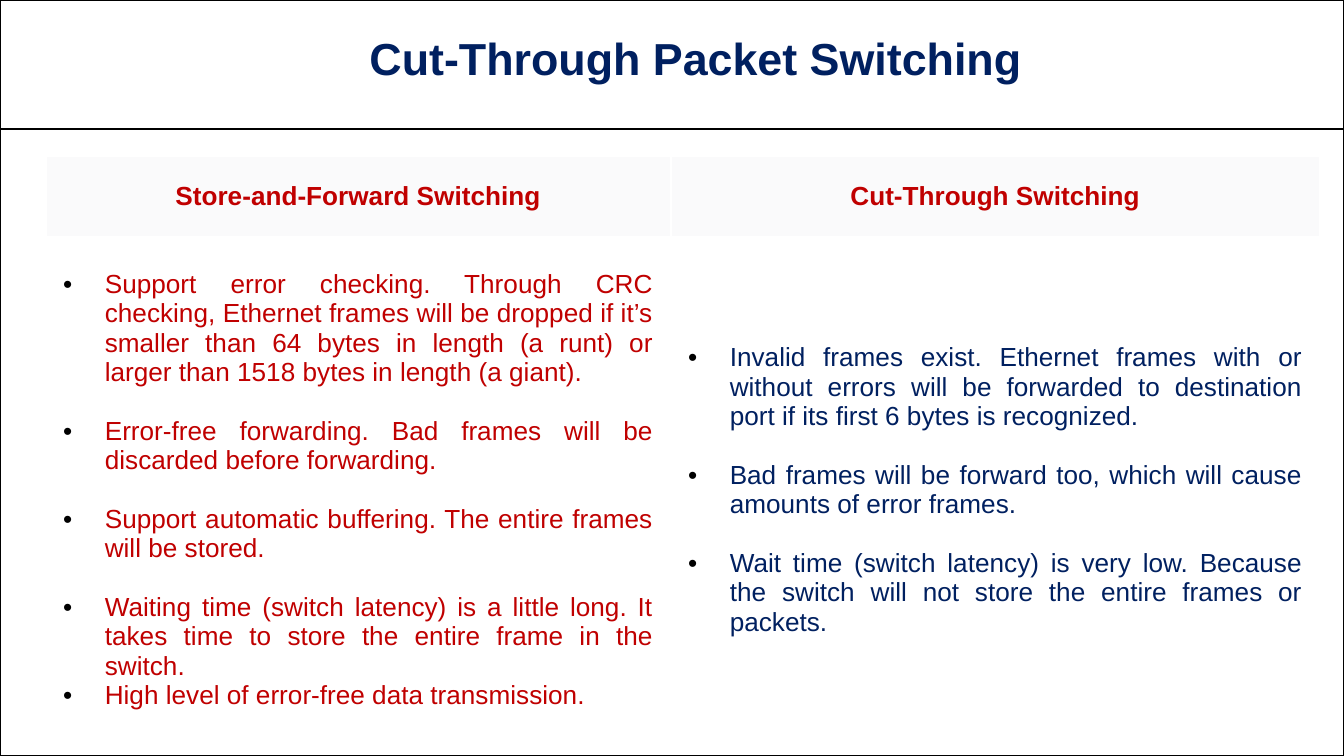
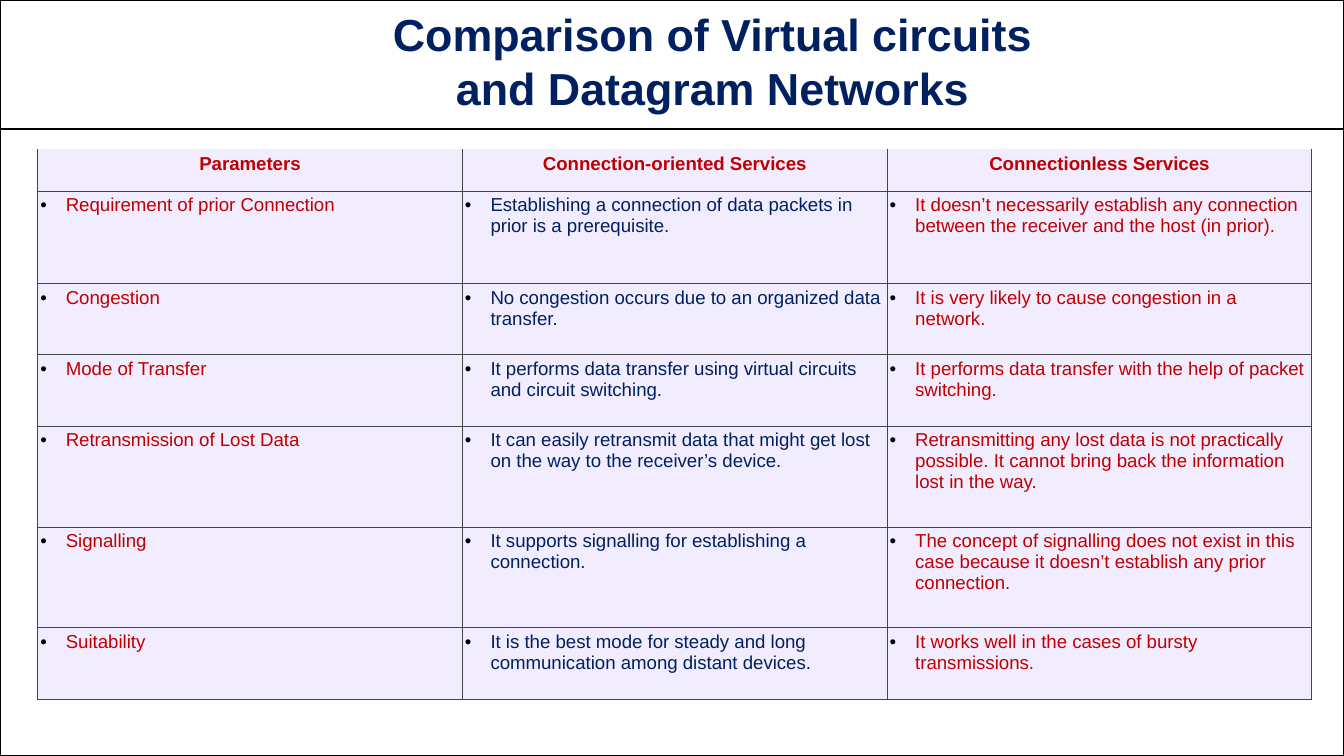
from lxml import etree
from pptx import Presentation
from pptx.dml.color import RGBColor
from pptx.enum.shapes import MSO_CONNECTOR, MSO_SHAPE
from pptx.enum.text import MSO_ANCHOR, MSO_AUTO_SIZE, PP_ALIGN
from pptx.oxml.ns import qn
from pptx.util import Inches, Pt

RECT = MSO_SHAPE.RECTANGLE
LINE = MSO_CONNECTOR.STRAIGHT
TOP, MID = MSO_ANCHOR.TOP, MSO_ANCHOR.MIDDLE
LEFT, CENTER, FULL = PP_ALIGN.LEFT, PP_ALIGN.CENTER, PP_ALIGN.JUSTIFY
FIXED = MSO_AUTO_SIZE.NONE

FONT = "Arial"
WIDE, BAND = 10, 0.96
HIGH = WIDE * 9 / 16
COLORS = {
    "navy": "002060",
    "red": "C00000",
    "black": "000000",
    "white": "FFFFFF",
    "pale": "FAFAFB",
    "lilac": "F1EDFF",
    "gray": "444444",
}

MODES = ["Store-and-Forward Switching", "Cut-Through Switching"]
STORE = [
    "Support error checking. Through CRC checking, Ethernet frames will be dropped "
    "if it’s smaller than 64 bytes in length (a runt) or larger than 1518 bytes "
    "in length (a giant).",
    "Error-free forwarding. Bad frames will be discarded before forwarding.",
    "Support automatic buffering. The entire frames will be stored.",
    "Waiting time (switch latency) is a little long. It takes time to store "
    "the entire frame in the switch.",
    "High level of error-free data transmission.",
]
CUT = [
    "Invalid frames exist. Ethernet frames with or without errors will be forwarded "
    "to destination port if its first 6 bytes is recognized.",
    "Bad frames will be forward too, which will cause amounts of error frames.",
    "Wait time (switch latency) is very low. Because the switch will not store "
    "the entire frames or packets.",
]
HEADS = ["Parameters", "Connection-oriented Services", "Connectionless Services"]
ROWS = [
    ("Requirement of prior Connection",
     "Establishing a connection of data packets in prior is a prerequisite.",
     "It doesn’t necessarily establish any connection between the receiver "
     "and the host (in prior)."),
    ("Congestion",
     "No congestion occurs due to an organized data transfer.",
     "It is very likely to cause congestion in a network."),
    ("Mode of Transfer",
     "It performs data transfer using virtual circuits and circuit switching.",
     "It performs data transfer with the help of packet switching."),
    ("Retransmission of Lost Data",
     "It can easily retransmit data that might get lost on the way "
     "to the receiver’s device.",
     "Retransmitting any lost data is not practically possible. "
     "It cannot bring back the information lost in the way."),
    ("Signalling",
     "It supports signalling for establishing a connection.",
     "The concept of signalling does not exist in this case because "
     "it doesn’t establish any prior connection."),
    ("Suitability",
     "It is the best mode for steady and long communication among distant devices.",
     "It works well in the cases of bursty transmissions."),
]


def rgb(name):
    return RGBColor.from_string(COLORS[name])


def add_run(para, text, size, color, bold=False):
    run = para.add_run()
    run.text = text
    font = run.font
    font.name, font.size, font.bold = FONT, Pt(size), bold
    font.color.rgb = rgb(color)


def add_fill(node, color):
    fill = etree.SubElement(node, qn("a:solidFill"))
    etree.SubElement(fill, qn("a:srgbClr"), val=COLORS[color])


def add_frame(slide):
    box = slide.shapes.add_shape(RECT, 0, 0, Inches(WIDE), Inches(HIGH))
    box.shadow.inherit = False
    box.fill.background()
    rule = slide.shapes.add_connector(LINE, 0, Inches(BAND), Inches(WIDE), Inches(BAND))
    for item in (box, rule):
        item.line.color.rgb = rgb("black")
        item.line.width = Pt(1)
    etree.SubElement(rule._element.spPr, qn("a:effectLst"))


def add_slide(deck, text, left, top, width, height):
    slide = deck.slides.add_slide(deck.slide_layouts[5])
    add_frame(slide)
    title = slide.shapes.title
    title.left, title.top = Inches(left), Inches(top)
    title.width, title.height = Inches(width), Inches(height)
    frame = title.text_frame
    frame.word_wrap, frame.auto_size = True, FIXED
    frame.vertical_anchor = TOP
    para = frame.paragraphs[0]
    para.alignment = CENTER
    add_run(para, text, 24, "navy", True)
    return slide


def add_grid(slide, left, top, cols, rows):
    shape = slide.shapes.add_table(
        len(rows), len(cols), Inches(left), Inches(top),
        Inches(sum(cols)), Inches(sum(rows)))
    grid = shape.table
    grid.first_row = grid.horz_banding = False
    for col, width in zip(grid.columns, cols):
        col.width = Inches(width)
    for row, height in zip(grid.rows, rows):
        row.height = Inches(height)
    return grid


def style_cell(cell, fill, edge, width, pad, anchor=TOP, sides="LRTB"):
    cell.margin_left = cell.margin_right = Inches(pad[0])
    cell.margin_top = cell.margin_bottom = Inches(pad[1])
    cell.vertical_anchor = anchor
    props = cell._tc.get_or_add_tcPr()
    for side in "LRTB":
        line = etree.SubElement(props, qn("a:ln" + side), w=str(Pt(width)))
        if side in sides:
            add_fill(line, edge)
        else:
            etree.SubElement(line, qn("a:noFill"))
    cell.fill.solid()
    cell.fill.fore_color.rgb = rgb(fill)


def add_head(cell, text, size):
    para = cell.text_frame.paragraphs[0]
    para.alignment = CENTER
    add_run(para, text, size, "red", True)


def add_point(para, text, size, color, indent, align=LEFT):
    para.alignment = align
    props = para._p.get_or_add_pPr()
    props.set("marL", str(Inches(indent)))
    props.set("indent", str(-Inches(indent)))
    tint = etree.SubElement(props, qn("a:buClr"))
    etree.SubElement(tint, qn("a:srgbClr"), val=COLORS["black"])
    etree.SubElement(props, qn("a:buFont"), typeface=FONT)
    etree.SubElement(props, qn("a:buChar"), char="•")
    add_run(para, text, size, color)


def add_list(cell, points, color, spaced):
    frame = cell.text_frame
    for i, text in enumerate(points):
        para = frame.add_paragraph() if i else frame.paragraphs[0]
        add_point(para, text, 14, color, 0.31, FULL)
        if 0 < i < spaced:
            para.space_before = Pt(15.7)


def add_modes(slide):
    grid = add_grid(slide, 0.34, 1.16, [4.65, 4.83], [0.6, 3.77])
    lists = [(STORE, "red", 4), (CUT, "navy", 3)]
    for c, (head, column) in enumerate(zip(MODES, lists)):
        for r, fill in enumerate(["pale", "white"]):
            style_cell(grid.cell(r, c), fill, "white", 1.2, (0.13, 0.13), MID)
        add_head(grid.cell(0, c), head, 14)
        add_list(grid.cell(1, c), *column)


def add_match(slide):
    heights = [0.31, 0.69, 0.53, 0.53, 0.75, 0.75, 0.53]
    grid = add_grid(slide, 0.28, 1.11, [3.16] * 3, heights)
    for r, row in enumerate([HEADS] + ROWS):
        for c, text in enumerate(row):
            cell = grid.cell(r, c)
            sides = "LRTB" if r else "LRB"
            style_cell(cell, "lilac", "gray", 0.3, (0.02, 0.03), sides=sides)
            if r:
                color = "navy" if c == 1 else "red"
                add_point(cell.text_frame.paragraphs[0], text, 10, color, 0.19)
            else:
                add_head(cell, text, 10)


def main():
    deck = Presentation()
    deck.slide_width, deck.slide_height = Inches(WIDE), Inches(HIGH)
    add_modes(add_slide(deck, "Cut-Through Packet Switching", 2.56, 0.18, 5.23, 0.5))
    add_match(add_slide(
        deck, "Comparison of Virtual circuits and Datagram Networks", 2.5, 0, 5.6, 1.31))
    deck.save("out.pptx")


if __name__ == "__main__":
    main()
